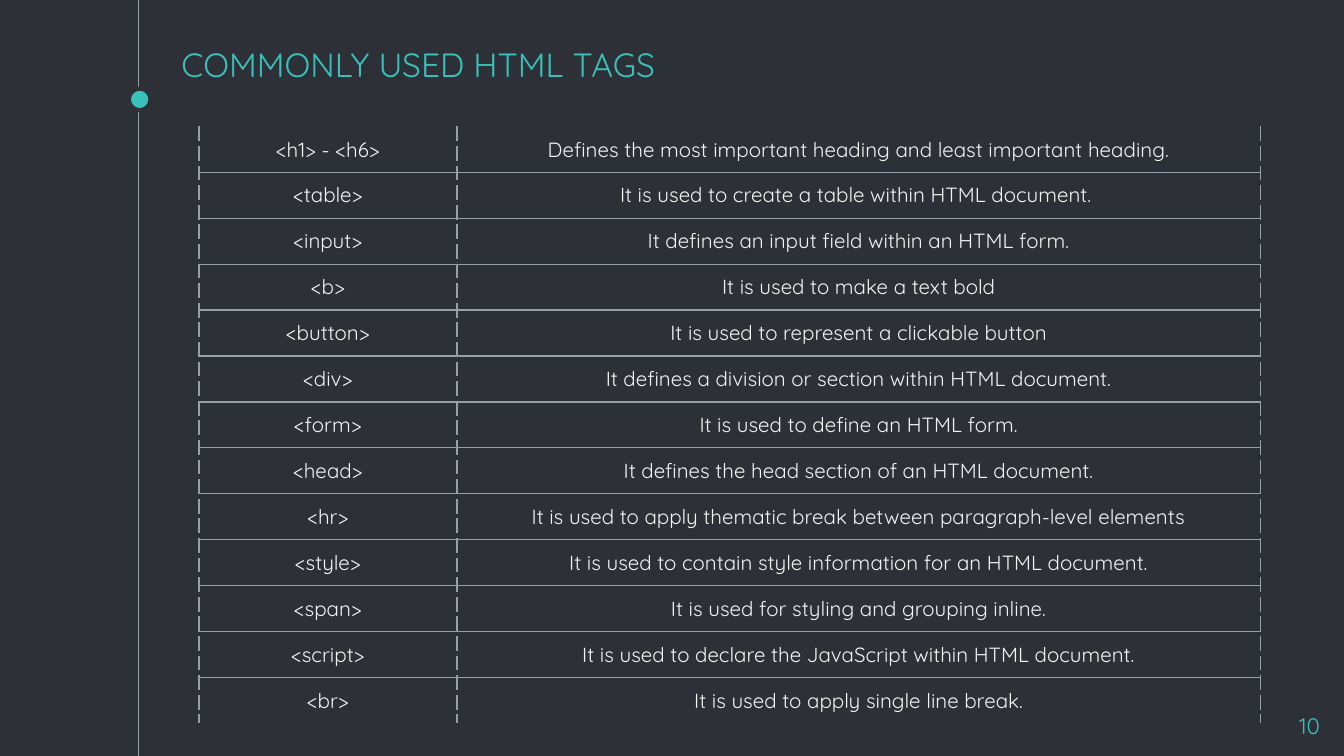
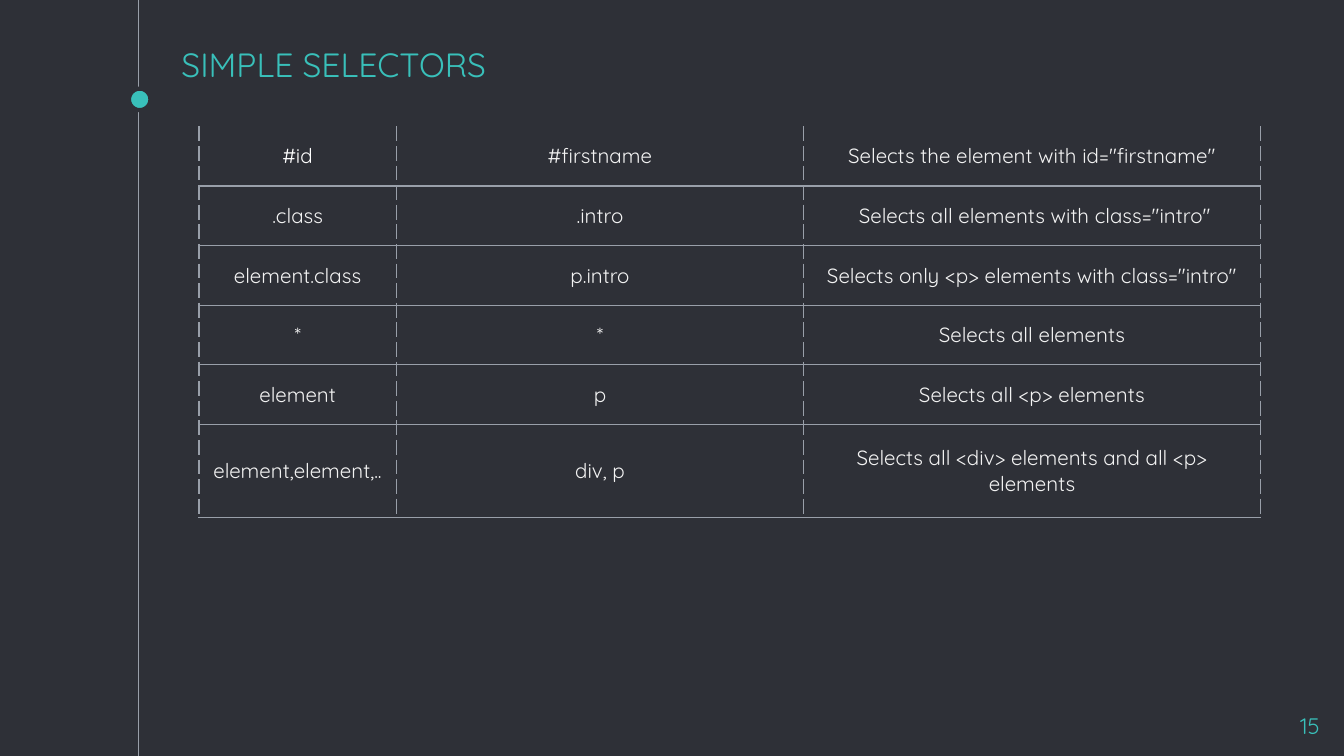
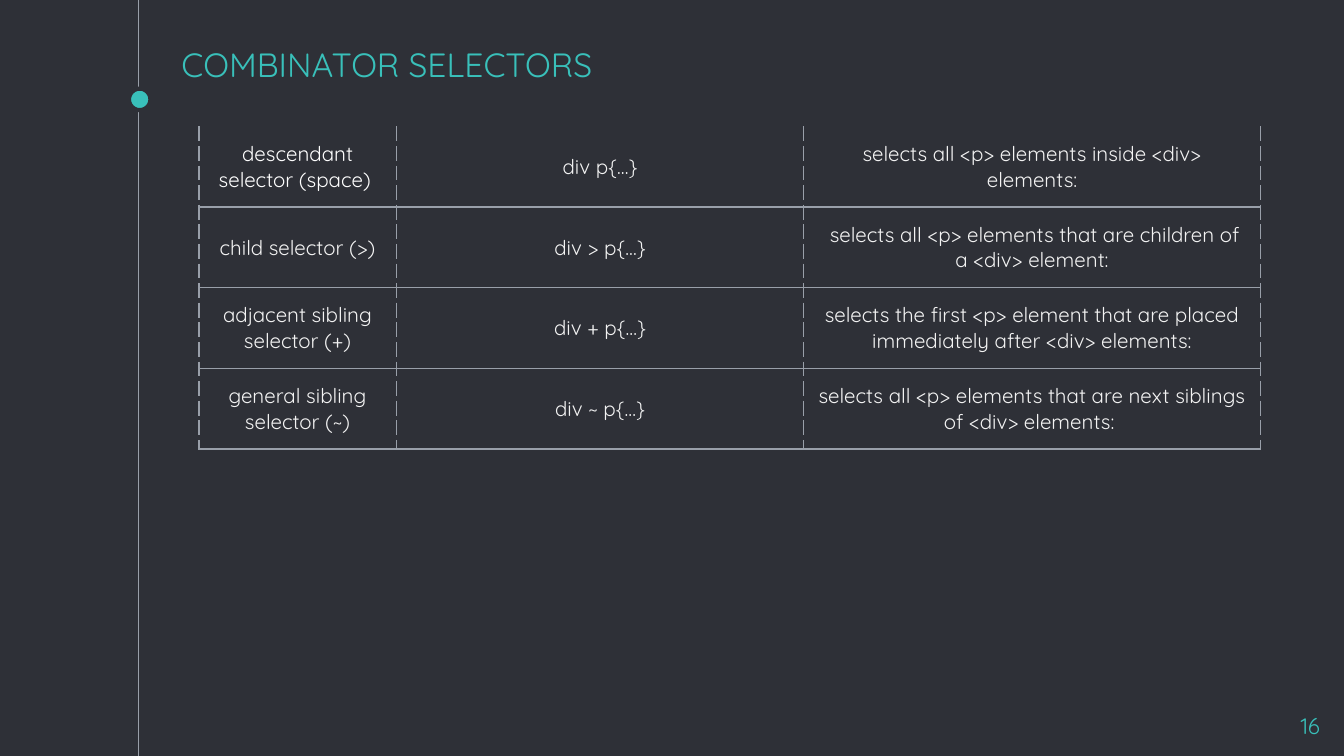
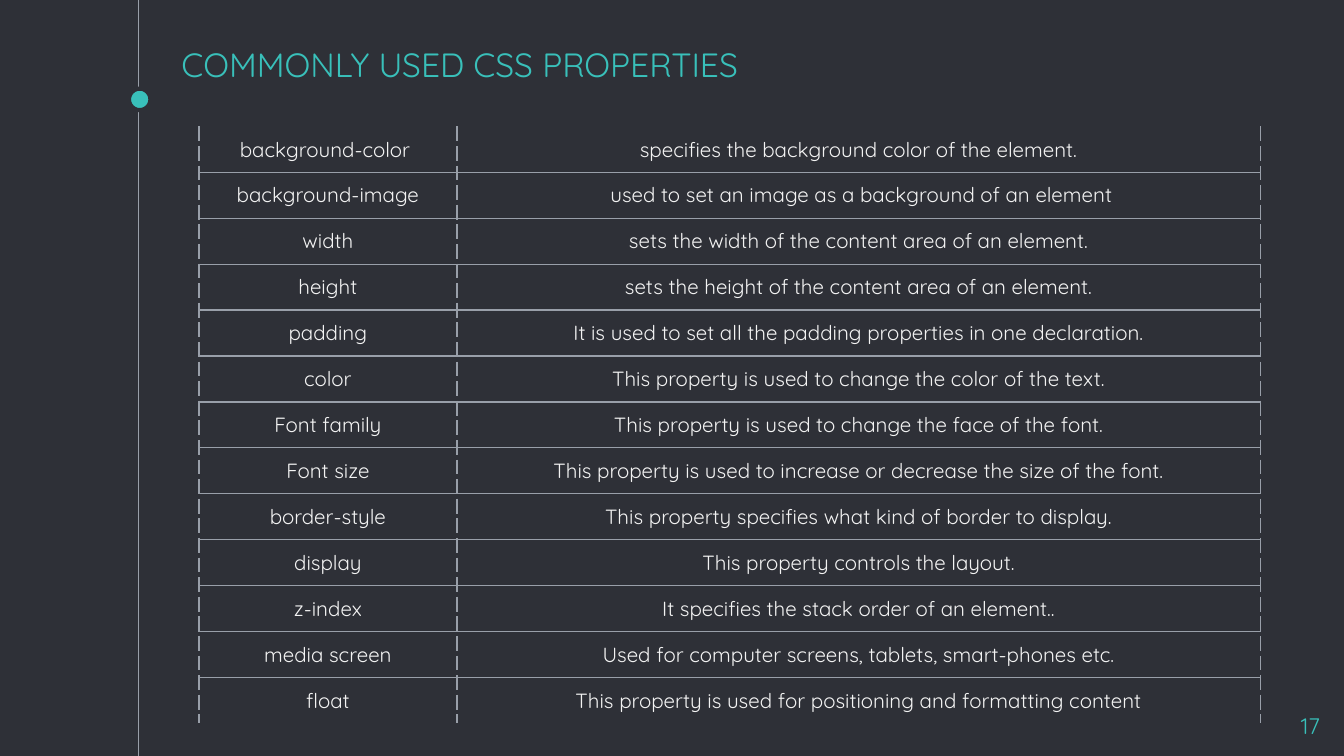
from lxml import etree
from pptx import Presentation
from pptx.dml.color import RGBColor
from pptx.enum.shapes import MSO_CONNECTOR, MSO_SHAPE
from pptx.enum.text import MSO_ANCHOR, MSO_AUTO_SIZE, PP_ALIGN
from pptx.oxml.ns import qn
from pptx.util import Inches, Pt

STRAIGHT, ELLIPSE = MSO_CONNECTOR.STRAIGHT, MSO_SHAPE.OVAL
LEFT, CENTER, RIGHT = PP_ALIGN.LEFT, PP_ALIGN.CENTER, PP_ALIGN.RIGHT
TOP, MIDDLE, BOTTOM = MSO_ANCHOR.TOP, MSO_ANCHOR.MIDDLE, MSO_ANCHOR.BOTTOM
NO_AUTOFIT = MSO_AUTO_SIZE.NONE

FONT = "Quicksand"
DARK, TEAL, GRAY, LIGHT, WHITE = "2E3037", "39C0BA", "999FA9", "F3F3F3", "FFFFFF"
SLIDE_W = 10
SLIDE_H = SLIDE_W * 9 / 16
TITLE_BOX = (1.25, 0.35, 7.5, 0.38)
NUMBER_BOX = (9.32, 5.2, 0.6, 0.34)
TABLE_LEFT, TABLE_TOP = 1.48, 0.94
TWO_COLS, THREE_COLS = (1.92, 5.98), (1.47, 3.03, 3.4)

HTML_TAGS = [
    ("<h1> - <h6>", "Defines the most important heading and least important heading."),
    ("<table>", "It is used to create a table within HTML document. "),
    ("<input>", "It defines an input field within an HTML form."),
    ("<b>", "It is used to make a text bold"),
    ("<button>", "It is used to represent a clickable button"),
    ("<div>", "It defines a division or section within HTML document."),
    ("<form>", "It is used to define an HTML form."),
    ("<head>", "It defines the head section of an HTML document."),
    ("<hr>", "It is used to apply thematic break between paragraph-level elements"),
    ("<style>", "It is used to contain style information for an HTML document."),
    ("<span>", "It is used for styling and grouping inline."),
    ("<script>", "It is used to declare the JavaScript within HTML document."),
    ("<br>", "It is used to apply single line break."),
]
SIMPLE_SELECTORS = [
    ("#id", "#firstname", 'Selects the element with id="firstname"'),
    (".class", ".intro", ' Selects all elements with class="intro"'),
    ("element.class", "p.intro", 'Selects only <p> elements with class="intro"'),
    ("*", "*", "Selects all elements"),
    ("element", "p", "Selects all <p> elements"),
    ("element,element,..", "div, p", "Selects all <div> elements and all <p> elements"),
]
COMBINATORS = [
    ("descendant selector (space) ", "div p{…}",
     "selects all <p> elements inside <div> elements:"),
    ("child selector (>)", "div > p{…}",
     " selects all <p> elements that are children of a <div> element:"),
    ("adjacent sibling selector (+)", "div + p{…}",
     "selects the first <p> element that are placed immediately after <div> elements:"),
    ("general sibling selector (~)", "div ~ p{…}",
     "selects all <p> elements that are next siblings of <div> elements:\u00a0"),
]
CSS_PROPERTIES = [
    ("background-color ", "specifies the background color of the element."),
    ("background-image", " used to set an image as a background of an element"),
    ("width", "sets the width of the content area of an element."),
    ("height", "sets the height of the content area of an element."),
    ("padding", "It is used to set all the padding properties in one declaration."),
    ("color", "This property is used to change the color of the text."),
    ("Font family", "This property is used to change the face of the font."),
    ("Font size", "This property is used to increase or decrease the size of the font."),
    ("border-style", "This property specifies what kind of border to display."),
    ("display", "This property controls the layout."),
    ("z-index", "It specifies the stack order of an element.."),
    ("media screen", "Used for computer screens, tablets, smart-phones etc."),
    ("float", "This property is used for positioning and formatting content"),
]


def rgb(color):
    """Turn a hex string into a colour."""
    return RGBColor.from_string(color)


def write(tf, text, size, color, align):
    """Set the text of a frame and format its run."""
    tf.text = text
    p = tf.paragraphs[0]
    p.alignment = align
    font = p.runs[0].font
    font.name, font.size, font.color.rgb = FONT, Pt(size), rgb(color)


def set_frame(tf, anchor):
    """Give a text frame wrapping, equal insets and an anchor."""
    tf.word_wrap, tf.auto_size, tf.vertical_anchor = True, NO_AUTOFIT, anchor
    tf.margin_left = tf.margin_top = tf.margin_right = tf.margin_bottom = Inches(0.1)


def add_timeline(s, x, height):
    """Draw the vertical line with its dot beside the title."""
    line = s.shapes.add_connector(STRAIGHT, Inches(x), 0, Inches(x), Inches(height))
    line.line.color.rgb, line.line.width = rgb(GRAY), Pt(0.75)
    etree.SubElement(line._element.spPr, qn("a:effectLst"))
    dot = s.shapes.add_shape(ELLIPSE, Inches(x - 0.07), Inches(0.66),
                             Inches(0.16), Inches(0.16))
    dot.shadow.inherit = False
    dot.fill.solid()
    dot.fill.fore_color.rgb = rgb(TEAL)
    dot.line.color.rgb, dot.line.width = rgb(DARK), Pt(2.25)


def add_title(s, text, box):
    """Place and format the title placeholder."""
    sp = s.shapes.title
    sp.left, sp.top, sp.width, sp.height = map(Inches, box)
    set_frame(sp.text_frame, BOTTOM)
    write(sp.text_frame, text, 18, TEAL, LEFT)


def add_number(s, number, box):
    """Write the slide number in the corner."""
    tf = s.shapes.add_textbox(*map(Inches, box)).text_frame
    set_frame(tf, TOP)
    write(tf, str(number), 12, TEAL, RIGHT)


def add_border(cell, side, dash):
    """Add one cell border, or an empty one when dash is None."""
    ln = etree.SubElement(cell._tc.get_or_add_tcPr(), qn(f"a:ln{side}"), w=str(Pt(0.75)))
    if dash is None:
        etree.SubElement(ln, qn("a:noFill"))
        return
    fill = etree.SubElement(ln, qn("a:solidFill"))
    etree.SubElement(fill, qn("a:srgbClr"), val=GRAY)
    etree.SubElement(ln, qn("a:prstDash"), val=dash)


def fill_cell(cell, text, color, top, bottom):
    """Write one cell and draw its borders."""
    cell.vertical_anchor = MIDDLE
    cell.margin_left = cell.margin_right = Inches(0.1)
    cell.margin_top = cell.margin_bottom = Pt(5.4)
    for side, dash in (("L", "dash"), ("R", "dash"), ("T", top), ("B", bottom)):
        add_border(cell, side, dash)
    cell.fill.background()
    write(cell.text_frame, text, 11, color, CENTER)


def add_grid(s, left, top, widths, heights, rows, corner, closed):
    """Build a table with dashed columns, open at the top and, unless closed, the bottom."""
    table = s.shapes.add_table(len(rows), len(widths), Inches(left), Inches(top),
                               Inches(sum(widths)), Inches(sum(heights))).table
    table.first_row = table.horz_banding = False
    for column, width in zip(table.columns, widths):
        column.width = Inches(width)
    last = len(rows) - 1
    for i, (row, height) in enumerate(zip(rows, heights)):
        table.rows[i].height = Inches(height)
        for j, text in enumerate(row):
            fill_cell(table.cell(i, j), text, corner if i == j == 0 else LIGHT,
                      "solid" if i else None,
                      "solid" if closed or i < last else None)


def add_table_slide(prs, number, title, rows, widths, heights, corner, closed):
    """Add a slide with a title, a table and a number."""
    s = prs.slides.add_slide(prs.slide_layouts[5])
    add_timeline(s, 1.03, SLIDE_H)
    add_title(s, title, TITLE_BOX)
    add_grid(s, TABLE_LEFT, TABLE_TOP, widths, heights, rows, corner, closed)
    add_number(s, number, NUMBER_BOX)


def main():
    """Build the deck and save it."""
    prs = Presentation()
    prs.slide_width, prs.slide_height = Inches(SLIDE_W), Inches(SLIDE_H)
    background = prs.slide_master.background.fill
    background.solid()
    background.fore_color.rgb = rgb(DARK)
    thirteen_rows = [4.33 / 13] * 13
    add_table_slide(prs, 10, "COMMONLY USED HTML TAGS", HTML_TAGS,
                    TWO_COLS, thirteen_rows, LIGHT, False)
    add_table_slide(prs, 15, "SIMPLE SELECTORS", SIMPLE_SELECTORS,
                    THREE_COLS, [2.22 / 5] * 5 + [0.69], WHITE, True)
    add_table_slide(prs, 16, "COMBINATOR SELECTORS", COMBINATORS,
                    THREE_COLS, [0.6] * 4, WHITE, True)
    add_table_slide(prs, 17, "COMMONLY USED CSS PROPERTIES", CSS_PROPERTIES,
                    TWO_COLS, thirteen_rows, LIGHT, False)
    prs.save("out.pptx")


main()
